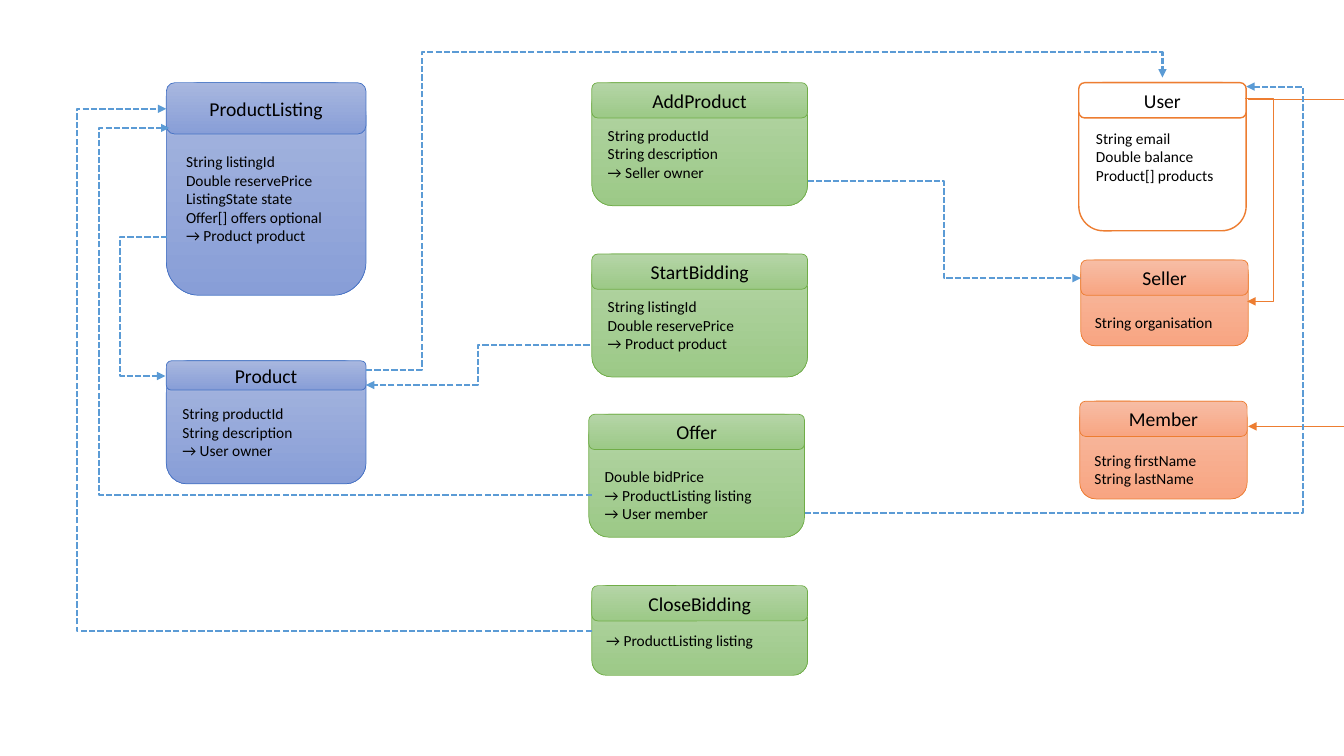
"""Draw the class diagram of an auction model as one slide."""
from dataclasses import dataclass

from lxml import etree
from pptx import Presentation, util as u
from pptx.dml.color import RGBColor
from pptx.enum import dml, shapes, text
from pptx.oxml.ns import qn

COLUMNS, ROWS = 13.33, 7.5
CELL = u.Inches(1)
FONT = "Calibri"
HEADER_SIZE, FIELD_SIZE = u.Pt(14), u.Pt(11)
FIELD_ROW = 0.19
INSET = 0.05

BLACK = RGBColor(0x00, 0x00, 0x00)
WHITE = RGBColor(0xFF, 0xFF, 0xFF)
BLUE = RGBColor(0x44, 0x72, 0xC4)
BLUE_TOP = RGBColor(0xA8, 0xB7, 0xDF)
BLUE_BOTTOM = RGBColor(0x88, 0x9E, 0xD7)
GREEN = RGBColor(0x70, 0xAD, 0x47)
GREEN_TOP = RGBColor(0xB5, 0xD5, 0xA7)
GREEN_BOTTOM = RGBColor(0x9C, 0xC9, 0x87)
ORANGE = RGBColor(0xED, 0x7D, 0x31)
ORANGE_TOP = RGBColor(0xF7, 0xBD, 0xA5)
ORANGE_BOTTOM = RGBColor(0xF8, 0xA5, 0x82)
REFERENCE = RGBColor(0x5B, 0x9B, 0xD5)


@dataclass(frozen=True)
class Style:
    top: RGBColor
    bottom: RGBColor
    line: RGBColor
    weight: float = 0.5


@dataclass(frozen=True)
class Entity:
    name: str
    style: Style
    column: float
    row: float
    columns: float
    rows: float
    fields: tuple[str, ...]
    header: float = 0.35
    skipped: int = 1


@dataclass(frozen=True)
class Route:
    start: tuple[float, float]
    end: tuple[float, float]
    bends: tuple[float, ...] = ()
    inherits: bool = False
    arrow: bool = True


ASSET = Style(BLUE_TOP, BLUE_BOTTOM, BLUE)
ACTION = Style(GREEN_TOP, GREEN_BOTTOM, GREEN)
PERSON = Style(ORANGE_TOP, ORANGE_BOTTOM, ORANGE)
BASE = Style(WHITE, WHITE, ORANGE, 1)

ENTITIES = (
    Entity("Product", ASSET, 1.65, 3.58, 1.98, 1.22,
           ("String productId", "String description", "→ User owner"), 0.29),
    Entity("ProductListing", ASSET, 1.65, 0.82, 1.98, 2.11,
           ("String listingId", "Double reservePrice", "ListingState state",
            "Offer[] offers optional", "→ Product product"), 0.51),
    Entity("User", BASE, 10.7, 0.82, 1.66, 1.47,
           ("String email", "Double balance", "Product[] products"), skipped=0),
    Entity("Member", PERSON, 10.71, 3.98, 1.66, 0.97,
           ("String firstName", "String lastName"), skipped=2),
    Entity("Seller", PERSON, 10.72, 2.58, 1.66, 0.85,
           ("String organisation",), skipped=2),
    Entity("Offer", ACTION, 5.84, 4.11, 2.14, 1.22,
           ("Double bidPrice", "→ ProductListing listing", "→ User member"), skipped=2),
    Entity("StartBidding", ACTION, 5.87, 2.52, 2.14, 1.22,
           ("String listingId", "Double reservePrice", "→ Product product")),
    Entity("CloseBidding", ACTION, 5.87, 5.81, 2.14, 0.89,
           ("→ ProductListing listing",)),
    Entity("AddProduct", ACTION, 5.87, 0.82, 2.14, 1.22,
           ("String productId", "String description", "→ Seller owner")),
)

ROUTES = (
    Route((12.35, 0.98), (12.37, 2.99), (12.63,), inherits=True),
    Route((12.38, 0.99), (COLUMNS, 0.99), inherits=True, arrow=False),
    Route((COLUMNS, 4.23), (12.38, 4.23), inherits=True),
    Route((1.66, 2.35), (1.64, 3.73), (1.19,)),
    Route((3.63, 3.67), (11.53, 0.77), (4.18, 0.52)),
    Route((8.01, 1.8), (10.72, 2.76), (9.36,)),
    Route((5.85, 3.42), (3.63, 3.82), (4.74,)),
    Route((5.87, 4.91), (1.68, 1.27), (0.98,)),
    Route((7.98, 5.09), (12.36, 0.86), (12.92,)),
    Route((5.87, 6.26), (1.65, 1.08), (0.76,)),
)


def cells(count: float) -> u.Emu:
    """Turn a number of grid cells into a length."""
    return u.Emu(round(count * CELL))


def draw_box(group, entity: Entity, rows: float, lines: tuple[str, ...],
             size: u.Pt, align, skipped: int = 0) -> None:
    """Draw one rounded box of an entity with its lines of text."""
    box = group.shapes.add_shape(
        shapes.MSO_SHAPE.ROUNDED_RECTANGLE,
        *map(cells, (entity.column, entity.row, entity.columns, rows)))
    box.shadow.inherit = False
    style = entity.style
    if style.top == style.bottom:
        box.fill.solid()
        box.fill.fore_color.rgb = style.top
    else:
        box.fill.gradient()
        box.fill.gradient_angle = 270
        for stop, color in zip(box.fill.gradient_stops, (style.top, style.bottom)):
            stop.color.rgb = color
    box.line.color.rgb = style.line
    box.line.width = u.Pt(style.weight)
    frame = box.text_frame
    frame.word_wrap = True
    frame.vertical_anchor = text.MSO_ANCHOR.MIDDLE
    frame.margin_top = cells(INSET + skipped * FIELD_ROW)
    frame.text = "\n".join(lines)
    for para in frame.paragraphs:
        para.alignment = align
        para.font.name = FONT
        para.font.size = size
        para.font.color.rgb = BLACK


def draw_entity(page, entity: Entity) -> None:
    """Draw an entity as a body with a header over its top."""
    group = page.shapes.add_group_shape()
    draw_box(group, entity, entity.rows, entity.fields, FIELD_SIZE,
             text.PP_ALIGN.LEFT, entity.skipped)
    draw_box(group, entity, entity.header, (entity.name,), HEADER_SIZE,
             text.PP_ALIGN.CENTER)


def draw_route(page, route: Route) -> None:
    """Draw a connector that turns at the given columns and rows."""
    kind = shapes.MSO_CONNECTOR.ELBOW if route.bends else shapes.MSO_CONNECTOR.STRAIGHT
    link = page.shapes.add_connector(kind, *map(cells, route.start + route.end))
    link.line.color.rgb = ORANGE if route.inherits else REFERENCE
    link.line.width = u.Pt(1 if route.inherits else 1.5)
    if not route.inherits:
        link.line.dash_style = dml.MSO_LINE.SQUARE_DOT
    properties = link._element.spPr
    if route.bends:
        geometry = properties.find(qn("a:prstGeom"))
        geometry.set("prst", f"bentConnector{len(route.bends) + 2}")
        guides = geometry.find(qn("a:avLst"))
        for number, (bend, first, last) in enumerate(
                zip(route.bends, route.start, route.end), 1):
            share = round((bend - first) / (last - first) * 100000)
            etree.SubElement(guides, qn("a:gd"), name=f"adj{number}", fmla=f"val {share}")
    if route.arrow:
        etree.SubElement(properties.find(qn("a:ln")), qn("a:tailEnd"), type="triangle")
    etree.SubElement(properties, qn("a:effectLst"))


def main() -> None:
    """Build the slide and save it."""
    deck = Presentation()
    deck.slide_width, deck.slide_height = cells(COLUMNS), cells(ROWS)
    page = deck.slides.add_slide(deck.slide_layouts[6])
    for entity in ENTITIES:
        draw_entity(page, entity)
    for route in ROUTES:
        draw_route(page, route)
    deck.save("out.pptx")


if __name__ == "__main__":
    main()
